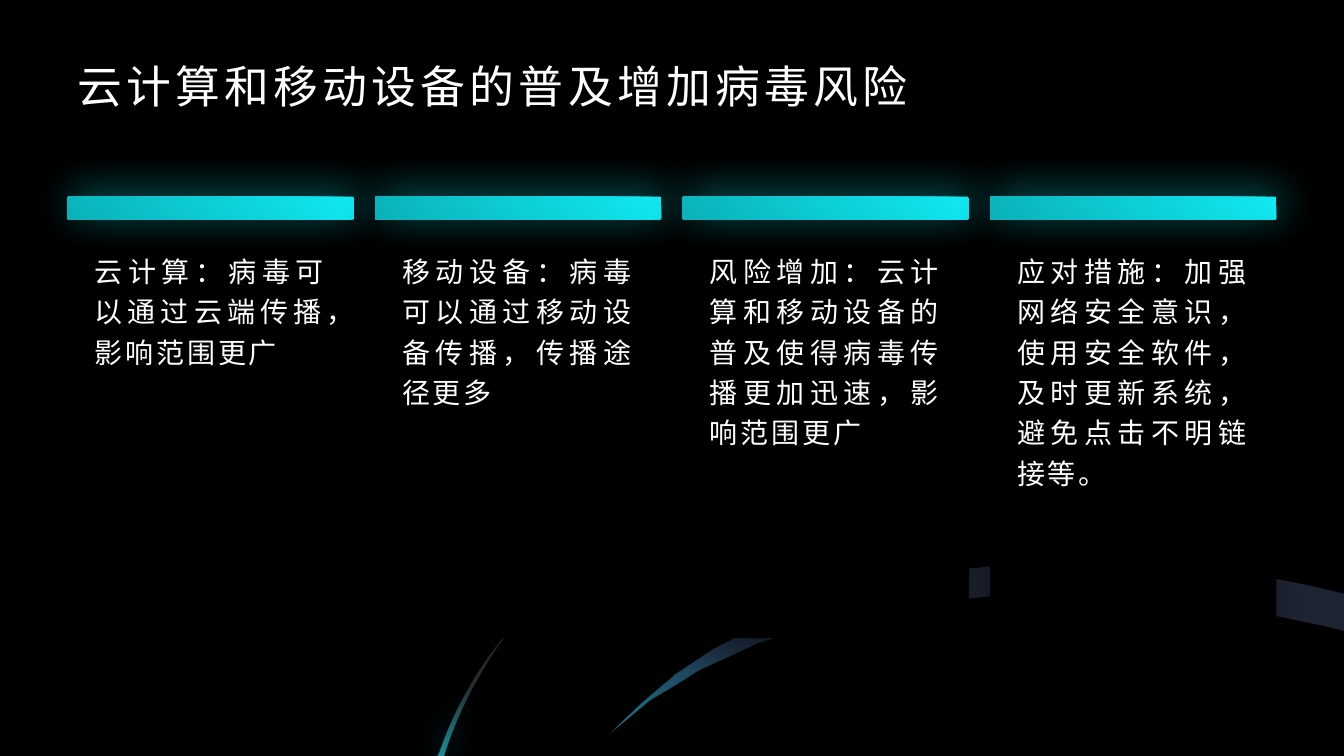
import pptx
import pptx.util
import pptx.dml.color
import pptx.enum.shapes
import pptx.enum.text
import pptx.oxml
import pptx.oxml.ns

# Content
TITLE = "云计算和移动设备的普及增加病毒风险"
CARDS = [
    "云计算：病毒可以通过云端传播，影响范围更广",
    "移动设备：病毒可以通过移动设备传播，传播途径更多",
    "风险增加：云计算和移动设备的普及使得病毒传播更加迅速，影响范围更广",
    "应对措施：加强网络安全意识，使用安全软件，及时更新系统，避免点击不明链接等。",
]
COLORS = {
    "back": "000000", "text": "FFFFFF", "cyan": "10E9F2", "teal": "0AB1B8",
    "blue": "3366FF", "glow": "1EB5F7", "ash": "1E1D1B", "slate": "252D30",
}

# Grid, in inches
WIDE, HIGH = 13.33, 7.5
EDGE, TOP = 0.67, 1.95
CARD_W, CARD_H, BAR_H = 2.84, 4.38, 0.23
STEP = (WIDE - 2 * EDGE - CARD_W) / (len(CARDS) - 1)
PAD, TEXT_TOP = 0.17, 2.41

# Outlines of the two arcs
RIBBON = [
    (6.05, 7.28), (6.36, 6.98), (6.7, 6.69), (7.09, 6.43), (7.54, 6.2),
    (8.06, 5.99), (8.38, 5.89), (8.74, 5.8), (9.2, 5.7), (9.61, 5.64),
    (10.01, 5.6), (10.39, 5.58), (10.77, 5.57), (11.15, 5.58),
    (11.52, 5.6), (12.08, 5.66), (12.54, 5.72), (12.99, 5.81),
    (13.33, 5.89), (13.33, 6.26), (13.13, 6.21), (12.6, 6.1),
    (12.08, 6.01), (11.02, 5.91), (10, 5.9), (9.06, 5.99), (8.19, 6.17),
    (7.52, 6.38), (6.94, 6.65), (6.45, 6.95),
]


def curve(a, b, c, d, count=16):
    def mix(t, axis):
        s = 1 - t
        return (s ** 3 * a[axis] + 3 * s * s * t * b[axis]
                + 3 * s * t * t * c[axis] + t ** 3 * d[axis])
    return [(mix(i / count, 0), mix(i / count, 1)) for i in range(count + 1)]


BLADE = (curve((5.26, 6.03), (4.96, 6.32), (4.6, 6.88), (4.41, 7.49))
         + [(4.41, 7.5), (4.34, 7.5)]
         + curve((4.36, 7.46), (4.67, 6.55), (5.26, 6.03), (5.26, 6.03)))


# Helpers
def rgb(name):
    return pptx.dml.color.RGBColor.from_string(COLORS[name])


def box(*sizes):
    return [pptx.util.Inches(size) for size in sizes]


def tint(name, alpha):
    return (f'<a:srgbClr val="{COLORS[name]}">'
            f'<a:alpha val="{alpha * 1000}"/></a:srgbClr>')


def paint(shape, fill, angle=0, shadow=None):
    """Fill with a colour name or with (place, name, alpha) stops."""
    names = pptx.oxml.ns.nsdecls("a")
    shape.line.fill.background()
    shape.shadow.inherit = False
    shape.fill.solid()
    if isinstance(fill, str):
        shape.fill.fore_color.rgb = rgb(fill)
    else:
        stops = "".join(f'<a:gs pos="{place * 1000}">{tint(name, alpha)}</a:gs>'
                        for place, name, alpha in fill)
        props = shape._element.spPr
        solid = props.find(pptx.oxml.ns.qn("a:solidFill"))
        props.replace(solid, pptx.oxml.parse_xml(
            f'<a:gradFill {names} rotWithShape="1"><a:gsLst>{stops}</a:gsLst>'
            f'<a:lin ang="{angle * 60000}" scaled="0"/></a:gradFill>'))
    if shadow:
        name, alpha, blur, dist, turn = shadow
        effects = shape._element.spPr.find(pptx.oxml.ns.qn("a:effectLst"))
        effects.append(pptx.oxml.parse_xml(
            f'<a:outerShdw {names} blurRad="{blur * 12700}" '
            f'dist="{dist * 12700}" dir="{turn * 60000}" algn="ctr" '
            f'rotWithShape="0">{tint(name, alpha)}</a:outerShdw>'))


def trace(slide, points):
    dots = [(x * 1000, y * 1000) for x, y in points]
    pen = slide.shapes.build_freeform(*dots[0], scale=914.4)
    pen.add_line_segments(dots[1:], close=True)
    return pen.convert_to_shape()


def panel(slide, place, round_by):
    kind = pptx.enum.shapes.MSO_SHAPE.ROUNDED_RECTANGLE
    shape = slide.shapes.add_shape(kind, *box(*place))
    shape.adjustments[0] = round_by
    return shape


def write(frame, text, size, face, gap, align):
    frame.word_wrap = True
    frame.auto_size = pptx.enum.text.MSO_AUTO_SIZE.NONE
    frame.text = text
    para = frame.paragraphs[0]
    para.alignment = align
    para.font.size = pptx.util.Pt(size)
    para.font.name = face
    para.font.color.rgb = rgb("text")
    style = para._p.pPr.find(pptx.oxml.ns.qn("a:defRPr"))
    style.set("spc", str(gap * 100))
    return para


def main():
    deck = pptx.Presentation()
    deck.slide_width, deck.slide_height = box(WIDE, HIGH)
    slide = deck.slides.add_slide(deck.slide_layouts[5])
    slide.background.fill.solid()
    slide.background.fill.fore_color.rgb = rgb("back")
    aligns = pptx.enum.text.PP_ALIGN

    # Arcs: a dark base, then a clear gradient over it
    paint(trace(slide, RIBBON), "ash")
    paint(trace(slide, BLADE), "slate")
    paint(trace(slide, RIBBON), [(0, "cyan", 50), (31, "blue", 10)], 315)
    paint(trace(slide, BLADE), [(55, "cyan", 0), (100, "cyan", 50)], 90,
          ("glow", 100, 20, 0, 0))

    # Title
    title = slide.shapes.title
    title.left, title.top, title.width, title.height = box(
        EDGE, 0.5, WIDE - 2 * EDGE, 0.62)
    frame = title.text_frame
    frame.margin_top = frame.margin_bottom = 0
    frame.vertical_anchor = pptx.enum.text.MSO_ANCHOR.BOTTOM
    write(frame, TITLE, 32, "Roboto", 3, aligns.LEFT)

    # Cards
    for col, text in enumerate(CARDS):
        left = EDGE + col * STEP
        card = panel(slide, (left, TOP, CARD_W, CARD_H), 0)
        paint(card, "back", shadow=("back", 40, 22, 9, 106))
        bar = panel(slide, (left, TOP, CARD_W, BAR_H), 0.08)
        paint(bar, [(0, "cyan", 100), (100, "teal", 100)], 130,
              ("cyan", 45, 30, 5, 315))
        note = slide.shapes.add_textbox(
            *box(left + PAD, TEXT_TOP, CARD_W - 2 * PAD, 3.73))
        para = write(note.text_frame, text, 20, "Karla", 2, aligns.JUSTIFY)
        para.line_spacing = 1.2

    deck.save("out.pptx")


if __name__ == "__main__":
    main()
